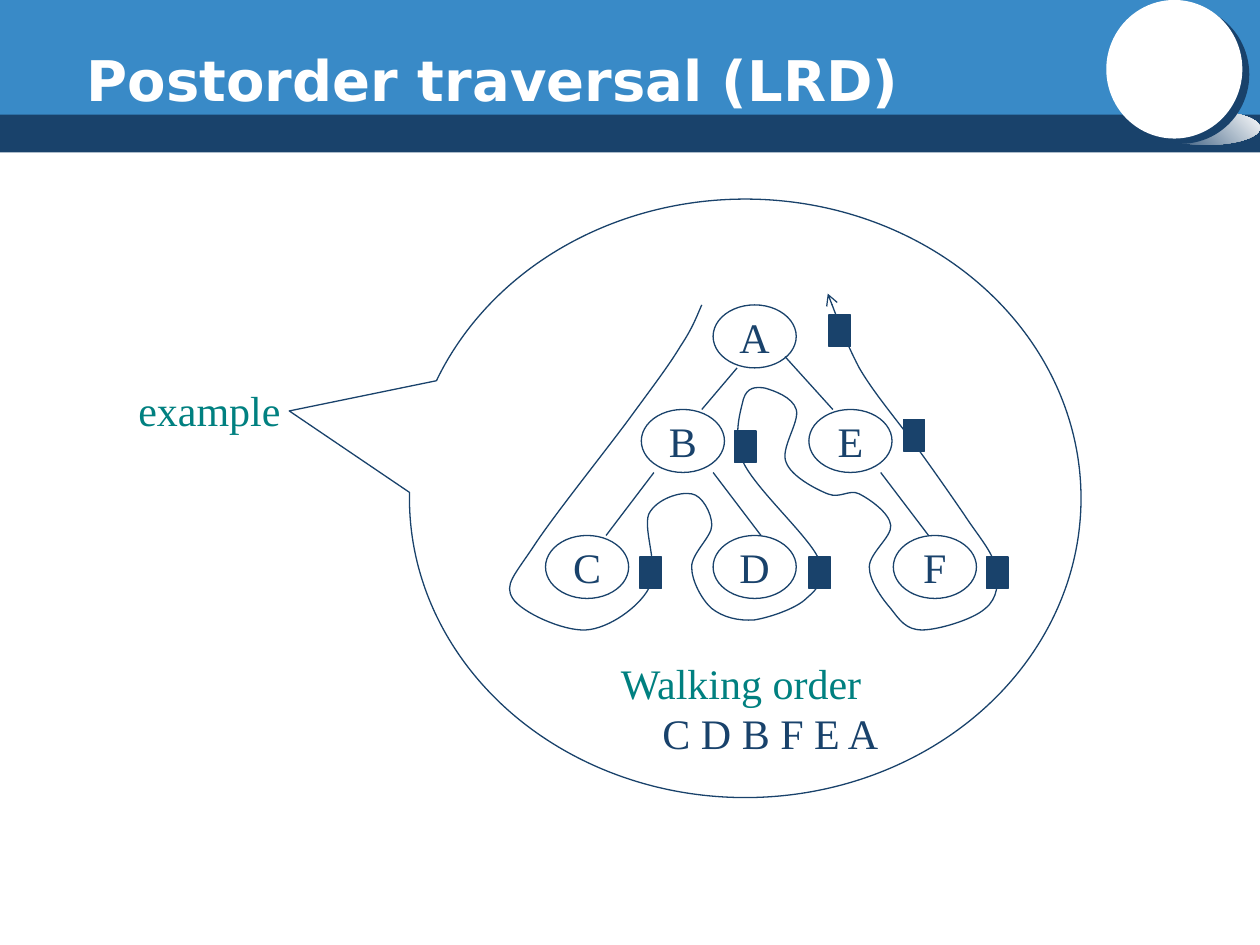
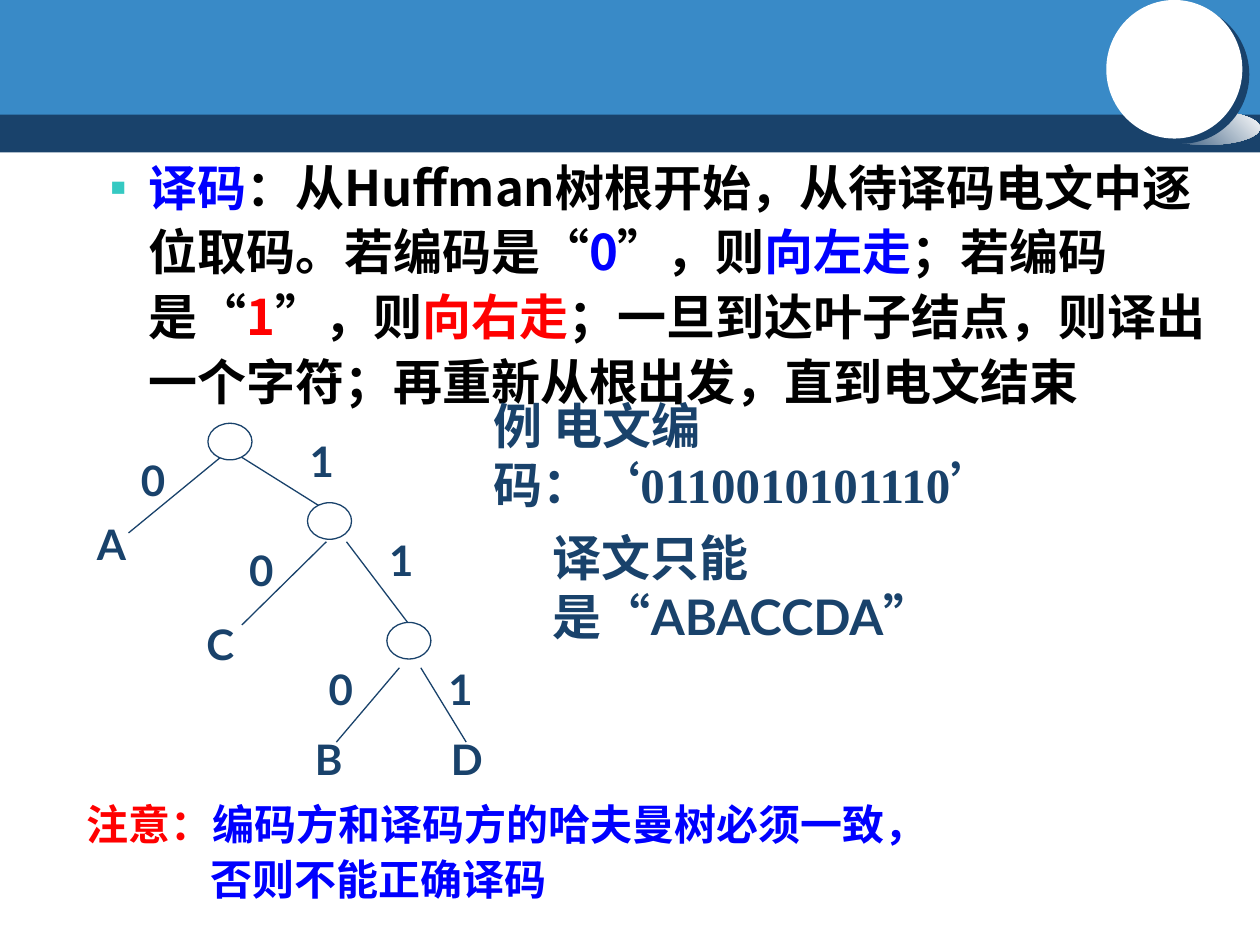
from lxml import etree
from pptx import Presentation
from pptx import util as u
from pptx.dml.color import RGBColor
from pptx.enum import shapes, text
from pptx.oxml import ns

SCALE = 9144  # EMU per px, 100 px to the inch
NAVY, SKY, WHITE, BLACK = "19426B", "398AC7", "FFFFFF", "000000"
TEAL, BLUE, RED, MINT = "008080", "0000FF", "FF0000", "35C9C2"
SERIF, LATIN, CHINESE, TITLE_FONT = "Times New Roman", "Lato", "Noto Sans CJK SC", "DejaVu Sans"
OVAL, BOX = shapes.MSO_SHAPE.OVAL, shapes.MSO_SHAPE.RECTANGLE

NODE_SIZE, MARKER_SIZE, JOINT_SIZE = (66, 50), (17, 25), (35, 29)
NODES = {"A": (566, 242), "B": (509, 325), "E": (642, 325),
         "C": (433, 425), "D": (566, 425), "F": (709, 425)}
EDGES = [(585, 292, 557, 325), (519, 375, 481, 425), (566, 375, 604, 425),
         (623, 283, 661, 325), (699, 375, 737, 425)]
VISIT_MARKERS = [(658, 250), (583, 342), (508, 442), (642, 442), (717, 333), (783, 442)]
# Start point, then two control points and an end point for each curve
WALK = [
    (557, 242),
    (553, 251), (550, 260), (540, 275), (531, 290), (518, 307), (499, 333),
    (479, 360), (439, 410), (424, 433), (408, 457), (400, 464), (407, 475),
    (414, 486), (447, 501), (465, 500), (483, 499), (507, 482), (515, 467),
    (524, 451), (510, 421), (515, 408), (521, 396), (540, 390), (549, 392),
    (557, 393), (565, 407), (565, 417), (565, 426), (549, 439), (549, 450),
    (549, 461), (557, 476), (565, 483), (574, 490), (586, 493), (599, 492),
    (611, 490), (632, 483), (640, 475), (649, 467), (657, 460), (649, 442),
    (640, 424), (600, 388), (590, 367), (581, 346), (588, 326), (590, 317),
    (593, 307), (600, 307), (607, 308), (614, 310), (629, 315), (632, 325),
    (635, 335), (619, 356), (624, 367), (628, 378), (647, 388), (657, 392),
    (667, 396), (674, 388), (682, 392), (690, 396), (706, 407), (707, 417),
    (708, 426), (690, 439), (690, 450), (690, 461), (700, 475), (707, 483),
    (714, 492), (719, 500), (732, 500), (744, 500), (772, 492), (782, 483),
    (792, 475), (793, 462), (790, 450), (788, 438), (776, 425), (765, 408),
    (754, 392), (738, 369), (724, 350), (710, 331), (693, 311), (682, 292),
    (671, 271), (661, 243), (657, 233),
]

JOINTS = [(165, 336), (244, 399), (307, 494)]
BRANCHES = [(175, 363, 102, 423), (192, 363, 259, 405), (259, 430, 192, 496),
            (275, 430, 325, 496), (317, 530, 267, 589), (334, 530, 370, 589)]
TREE_LABELS = [("A", 67, 407), ("C", 154, 486), ("B", 240, 577), ("D", 348, 577),
               ("0", 102, 356), ("1", 236, 341), ("0", 188, 427),
               ("1", 299, 419), ("0", 251, 522), ("1", 346, 522)]


def px(*lengths):
    return [u.Emu(length * SCALE) for length in lengths]


def color(hex_string):
    return RGBColor.from_string(hex_string)


def add_xml(parent, tag, **attributes):
    return etree.SubElement(parent, ns.qn(tag), attributes)


def set_font(font, name=None, size=None, ink=None, bold=None):
    """Set what is given; the name holds for Latin text, Chinese has one font."""
    if size:
        font.size = u.Pt(size)
    if bold is not None:
        font.bold = bold
    if ink:
        font.color.rgb = color(ink)
    if name:
        font.name = name
        add_xml(font._rPr, "a:ea", typeface=CHINESE)


def style_line(line, ink):
    if ink:
        line.color.rgb = color(ink)
        line.width = u.Pt(0.75)
    else:
        line.fill.background()


def add_preset(slide, preset, place, fill=None, line=None):
    shape = slide.shapes.add_shape(preset, *px(*place))
    shape.shadow.inherit = False
    if fill:
        shape.fill.solid()
        shape.fill.fore_color.rgb = color(fill)
    else:
        shape.fill.background()
    style_line(shape.line, line)
    return shape


def add_edge(slide, ends):
    edge = slide.shapes.add_connector(shapes.MSO_CONNECTOR.STRAIGHT, *px(*ends))
    style_line(edge.line, NAVY)
    add_xml(edge._element.spPr, "a:effectLst")


def write(paragraph, runs, name, size, ink, bold=False):
    """Write runs of (text, colour, font), where colour and font may be None."""
    for words, run_ink, run_name in runs:
        run = paragraph.add_run()
        run.text = words
        set_font(run.font, run_name, ink=run_ink)
    set_font(paragraph.font, name, size, ink, bold)


def add_textbox(slide, place, wrap=False):
    frame = slide.shapes.add_textbox(*px(*place)).text_frame
    frame.word_wrap = wrap
    return frame


def indent(paragraph, left, first=0):
    properties = paragraph._p.get_or_add_pPr()
    properties.set("marL", str(left * SCALE))
    properties.set("indent", str(first * SCALE))
    return properties


def add_walk(slide):
    """Draw the walk around the tree as smooth curves ending in an arrow."""
    builder = slide.shapes.build_freeform(*WALK[0], scale=SCALE)
    builder.add_line_segments(WALK[1:], close=False)
    walk = builder.convert_to_shape()
    walk.shadow.inherit = False
    walk.fill.background()
    style_line(walk.line, NAVY)
    add_xml(walk.line._get_or_add_ln(), "a:tailEnd", type="arrow")
    outline = walk._element.spPr.find(".//" + ns.qn("a:path"))
    segments = outline.findall(ns.qn("a:lnTo"))
    for start in range(0, len(segments), 3):
        curve = add_xml(outline, "a:cubicBezTo")
        for segment in segments[start:start + 3]:
            curve.append(segment[0])
            outline.remove(segment)


def add_master_band(presentation, slide):
    """Draw the header on a slide, then move it to the back of the master."""
    lower_band = add_preset(slide, BOX, (0, 87, 1000, 34), NAVY)
    upper_band = add_preset(slide, BOX, (0, 0, 1000, 91), SKY)
    glow = add_preset(slide, OVAL, (915, 88, 85, 27), NAVY)
    glow.fill.gradient()
    glow.fill.gradient_angle = 45
    for stop, ink, position in zip(glow.fill.gradient_stops, (NAVY, WHITE), (0, 1)):
        stop.color.rgb = color(ink)
        stop.position = position
    disc = add_preset(slide, OVAL, (878, 0, 108, 110), WHITE)
    effects = disc._element.spPr.find(ns.qn("a:effectLst"))
    shadow = add_xml(effects, "a:outerShdw", blurRad="0", dist=str(u.Pt(5)),
                     dir=str(37 * 60000), algn="ctr", rotWithShape="0")
    add_xml(shadow, "a:srgbClr", val=NAVY)
    center = add_preset(slide, OVAL, (914, 39, 38, 38), WHITE)
    tree = presentation.slide_master.shapes._spTree
    for index, shape in enumerate((lower_band, upper_band, glow, disc, center)):
        shape._element.nvSpPr.cNvPr.set("id", str(100 + index))
        tree.insert(2 + index, shape._element)


def place_placeholder(placeholder, place, anchor):
    placeholder.left, placeholder.top, placeholder.width, placeholder.height = px(*place)
    frame = placeholder.text_frame
    frame.auto_size = text.MSO_AUTO_SIZE.NONE
    frame.vertical_anchor = anchor
    return frame.paragraphs[0]


def build_postorder(slide):
    title = place_placeholder(slide.shapes.title, (59, 0, 850, 125), text.MSO_ANCHOR.MIDDLE)
    title.alignment = text.PP_ALIGN.LEFT
    write(title, [("Postorder traversal (LRD)", None, None)], TITLE_FONT, 32, WHITE, True)

    example = add_textbox(slide, (100, 300, 133, 50))
    write(example.paragraphs[0], [("example", None, None)], SERIF, 24, TEAL)
    callout = add_preset(slide, shapes.MSO_SHAPE.OVAL_CALLOUT, (325, 158, 533, 475), WHITE, NAVY)
    callout.adjustments[0], callout.adjustments[1] = -0.679, -0.146

    for name, corner in NODES.items():
        frame = add_preset(slide, OVAL, corner + NODE_SIZE, line=NAVY).text_frame
        frame.word_wrap = False
        frame.vertical_anchor = text.MSO_ANCHOR.MIDDLE
        frame.paragraphs[0].alignment = text.PP_ALIGN.CENTER
        write(frame.paragraphs[0], [(name, None, None)], SERIF, 24, NAVY)
    for ends in EDGES:
        add_edge(slide, ends)
    for corner in VISIT_MARKERS:
        add_preset(slide, BOX, corner + MARKER_SIZE, NAVY, NAVY)

    order = add_textbox(slide, (483, 517, 227, 90))
    write(order.paragraphs[0], [("Walking order", None, None)], SERIF, 24, TEAL)
    sequence = order.add_paragraph()
    indent(sequence, 33)
    write(sequence, [("C D B F E A", None, None)], SERIF, 24, NAVY)
    add_walk(slide)


def build_decoding(slide):
    title = slide.shapes.title._element
    title.getparent().remove(title)
    rule = place_placeholder(slide.placeholders[1], (27, 115, 953, 223), text.MSO_ANCHOR.TOP)
    rule.level = 1
    rule.line_spacing = 1.1
    rule.space_before = u.Pt(0)
    properties = indent(rule, 81, -31)
    add_xml(add_xml(properties, "a:buClr"), "a:srgbClr", val=MINT)
    add_xml(properties, "a:buChar", char="▪")
    write(rule, [
        ("译码", BLUE, None),
        ("：从Huffman树根开始，从待译码电文中逐位取码。若编码是", None, None),
        ("“", None, "Arial"), ("0", BLUE, None), ("”", None, "Arial"),
        ("，则", None, None), ("向左走", BLUE, None), ("；若编码是", None, None),
        ("“", None, "Arial"), ("1", RED, None), ("”", None, "Arial"),
        ("，则", None, None), ("向右走", RED, None),
        ("；一旦到达叶子结点，则译出一个字符；再重新从根出发，直到电文结束", None, None),
    ], CHINESE, 28, BLACK, True)

    message = add_textbox(slide, (382, 332, 553, 57), wrap=True)
    message.vertical_anchor = text.MSO_ANCHOR.MIDDLE
    write(message.paragraphs[0], [("例 电文编码：‘0110010101110’", None, None)],
          SERIF, 28, NAVY, True)

    for ends in BRANCHES:
        add_edge(slide, ends)
    for corner in JOINTS:
        add_preset(slide, OVAL, corner + JOINT_SIZE, WHITE, NAVY)
    for label, left, top in TREE_LABELS:
        frame = add_textbox(slide, (left, top, 43, 50))
        write(frame.paragraphs[0], [(label, None, None)], LATIN, 24, NAVY, True)

    decoded = add_textbox(slide, (429, 414, 462, 57), wrap=True)
    write(decoded.paragraphs[0], [("译文只能是“ABACCDA", None, None), ("”", None, "Arial")],
          LATIN, 28, NAVY, True)

    note = add_textbox(slide, (59, 627, 858, 96), wrap=True)
    warning, consequence = note.paragraphs[0], note.add_paragraph()
    indent(consequence, 98)
    consequence.space_before = u.Pt(1.2)
    for paragraph in (warning, consequence):
        paragraph.line_spacing = 1.05
    write(warning, [("注意：", RED, None), ("编码方和译码方的哈夫曼树必须一致，", None, None)],
          LATIN, 24, BLUE, True)
    write(consequence, [("否则不能正确译码", None, None)], LATIN, 24, BLUE, True)


def main():
    presentation = Presentation()
    presentation.slide_width, presentation.slide_height = px(1000, 750)
    layouts = presentation.slide_layouts
    postorder = presentation.slides.add_slide(layouts.get_by_name("Title Only"))
    decoding = presentation.slides.add_slide(layouts.get_by_name("Title and Content"))
    add_master_band(presentation, postorder)
    build_postorder(postorder)
    build_decoding(decoding)
    presentation.save("out.pptx")


if __name__ == "__main__":
    main()
